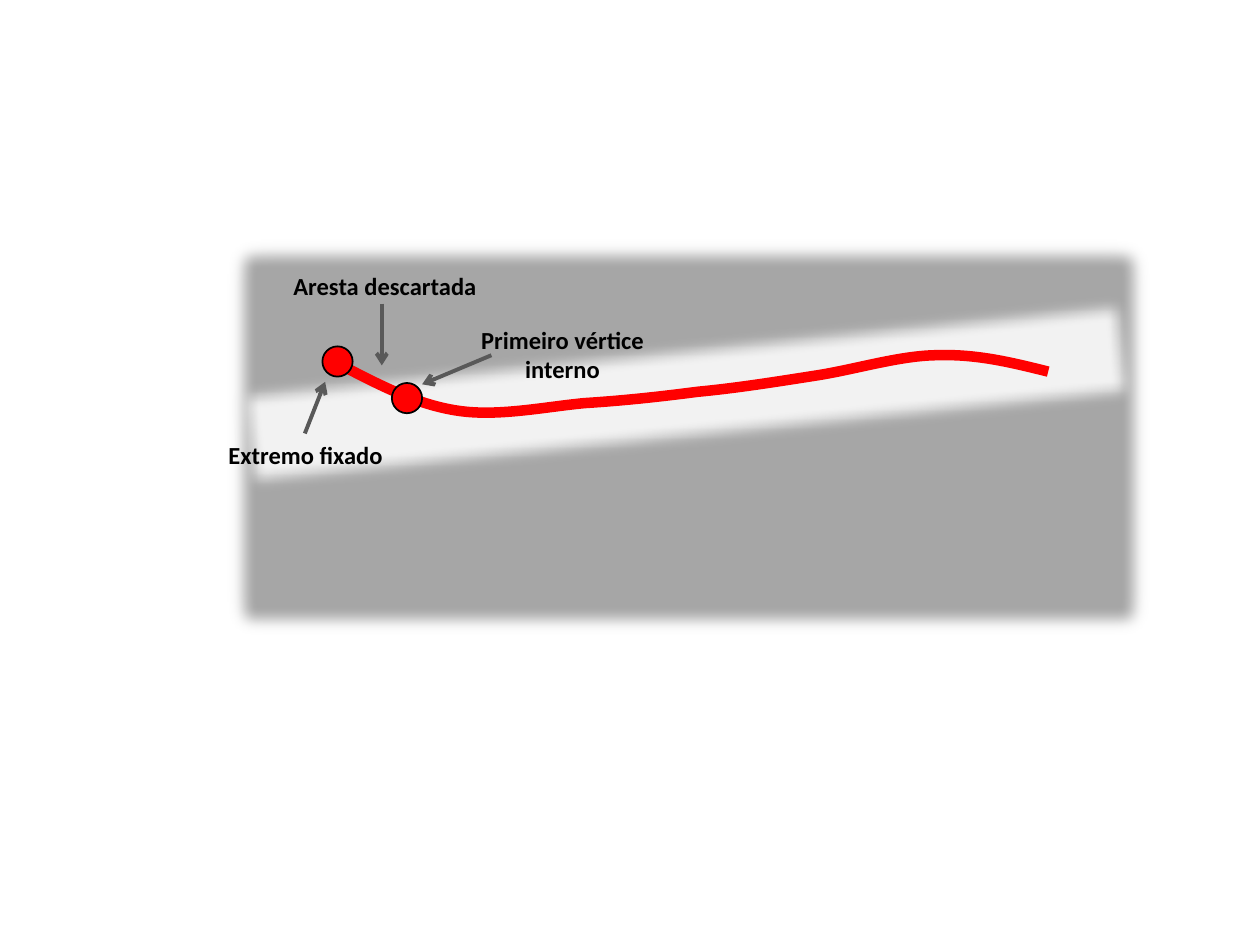
import pptx
import pptx.dml.color
import pptx.enum.shapes
import pptx.enum.text
import pptx.oxml.ns
import pptx.util
from lxml import etree

Pt = pptx.util.Pt
RGBColor = pptx.dml.color.RGBColor
SHAPES = pptx.enum.shapes.MSO_SHAPE
qn = pptx.oxml.ns.qn

FIELD_GRAY = RGBColor(0xA6, 0xA6, 0xA6)
ROAD_GRAY = RGBColor(0xF2, 0xF2, 0xF2)
ARROW_GRAY = RGBColor(0x59, 0x59, 0x59)
RED = RGBColor(0xFF, 0, 0)
BLACK = RGBColor(0, 0, 0)

SCENE_BOX = (127.4, 133.9, 532.8, 232.6)
SOFT_EDGE = 10
VERTEX_SIZE = 17.3
LABEL_WIDTH = 139

# All positions below are offsets from the scene's top left corner.
CURVE_START = (66.3, 74.2)
CURVE_SEGMENTS = [
    [(88.6, 85.7), (110.2, 97.2), (134, 100.8)],
    [(157, 104.4), (183.6, 98.7), (206.7, 96.5)],
    [(229, 95.1), (249.2, 92.9), (271.5, 90)],
    [(293.8, 87.9), (316.1, 84.3), (339.2, 80.7)],
    [(362.2, 77.1), (387.4, 69.1), (409, 69.1)],
    [(431.3, 68.4), (451.5, 73.5), (471.6, 78.5)],
]
VERTEX_CENTRES = [(65.5, 72.7), (105.2, 93.6)]
ARROWS = [
    ((90.8, 39.6), (90.8, 74.9)),
    ((46.8, 113.8), (58.4, 84.3)),
    ((153.4, 69.1), (113.8, 85.7)),
]
LABELS = [
    ("Aresta descartada", 23.1, 17.3, 24.2),
    ("Primeiro vértice interno", 124.6, 48.3, 41.2),
    ("Extremo fixado", -22.3, 113.8, 24.2),
]


def add_filled(page, kind, left, top, width, height, color):
    """Add a preset shape with a plain fill and no line or shadow."""
    shape = page.shapes.add_shape(kind, Pt(left), Pt(top), Pt(width), Pt(height))
    shape.shadow.inherit = False
    shape.fill.solid()
    shape.fill.fore_color.rgb = color
    shape.line.fill.background()
    return shape


def soften(shape):
    """Give a shape soft edges."""
    effects = shape._element.spPr.find(qn("a:effectLst"))
    etree.SubElement(effects, qn("a:softEdge"), rad=str(Pt(SOFT_EDGE)))


def add_curve(page, left, top):
    """Add the red line as a chain of cubic Bezier segments."""
    def absolute(point):
        return Pt(left + point[0]), Pt(top + point[1])

    builder = page.shapes.build_freeform(*absolute(CURVE_START))
    builder.add_line_segments([absolute(s[-1]) for s in CURVE_SEGMENTS], close=False)
    curve = builder.convert_to_shape()
    curve.shadow.inherit = False
    curve.fill.background()
    curve.line.color.rgb = RED
    curve.line.width = Pt(6)
    lines = list(curve._element.iter(qn("a:lnTo")))
    for line, segment in zip(lines, CURVE_SEGMENTS):
        bezier = etree.Element(qn("a:cubicBezTo"))
        for point in segment:
            x, y = absolute(point)
            etree.SubElement(bezier, qn("a:pt"),
                             x=str(x - curve.left), y=str(y - curve.top))
        line.getparent().replace(line, bezier)


def add_vertex(page, x, y):
    """Add a red vertex centred on a point."""
    half = VERTEX_SIZE / 2
    vertex = add_filled(page, SHAPES.OVAL, x - half, y - half,
                        VERTEX_SIZE, VERTEX_SIZE, RED)
    vertex.line.color.rgb = BLACK
    vertex.line.width = Pt(1)


def add_arrow(page, x1, y1, x2, y2):
    """Add a straight arrow that points at its second end."""
    arrow = page.shapes.add_connector(
        pptx.enum.shapes.MSO_CONNECTOR.STRAIGHT, Pt(x1), Pt(y1), Pt(x2), Pt(y2))
    arrow.line.color.rgb = ARROW_GRAY
    arrow.line.width = Pt(2.25)
    etree.SubElement(arrow.line._get_or_add_ln(), qn("a:tailEnd"), type="arrow")
    etree.SubElement(arrow._element.spPr, qn("a:effectLst"))


def add_label(page, text, left, top, height):
    """Add a bold centred caption."""
    box = page.shapes.add_textbox(Pt(left), Pt(top), Pt(LABEL_WIDTH), Pt(height))
    frame = box.text_frame
    frame.word_wrap = True
    frame.auto_size = pptx.enum.text.MSO_AUTO_SIZE.SHAPE_TO_FIT_TEXT
    frame.text = text
    para = frame.paragraphs[0]
    para.alignment = pptx.enum.text.PP_ALIGN.CENTER
    font = para.runs[0].font
    font.name = "Calibri"
    font.size = Pt(14)
    font.bold = True
    font.color.rgb = BLACK


def add_scene(page, left, top, width, height):
    """Draw the field, the road, the curve and its annotations."""
    soften(add_filled(page, SHAPES.RECTANGLE, left, top, width, height, FIELD_GRAY))
    road = add_filled(page, SHAPES.RECTANGLE, left + 2.2, top + 54.7,
                      523.4, 72, ROAD_GRAY)
    road.rotation = 354.2
    soften(road)
    add_curve(page, left, top)
    for x, y in VERTEX_CENTRES:
        add_vertex(page, left + x, top + y)
    for (x1, y1), (x2, y2) in ARROWS:
        add_arrow(page, left + x1, top + y1, left + x2, top + y2)
    for text, x, y, label_height in LABELS:
        add_label(page, text, left + x, top + y, label_height)


deck = pptx.Presentation()
deck.slide_width, deck.slide_height = Pt(720), Pt(540)
page = deck.slides.add_slide(deck.slide_layouts[6])
add_scene(page, *SCENE_BOX)
deck.save("out.pptx")
